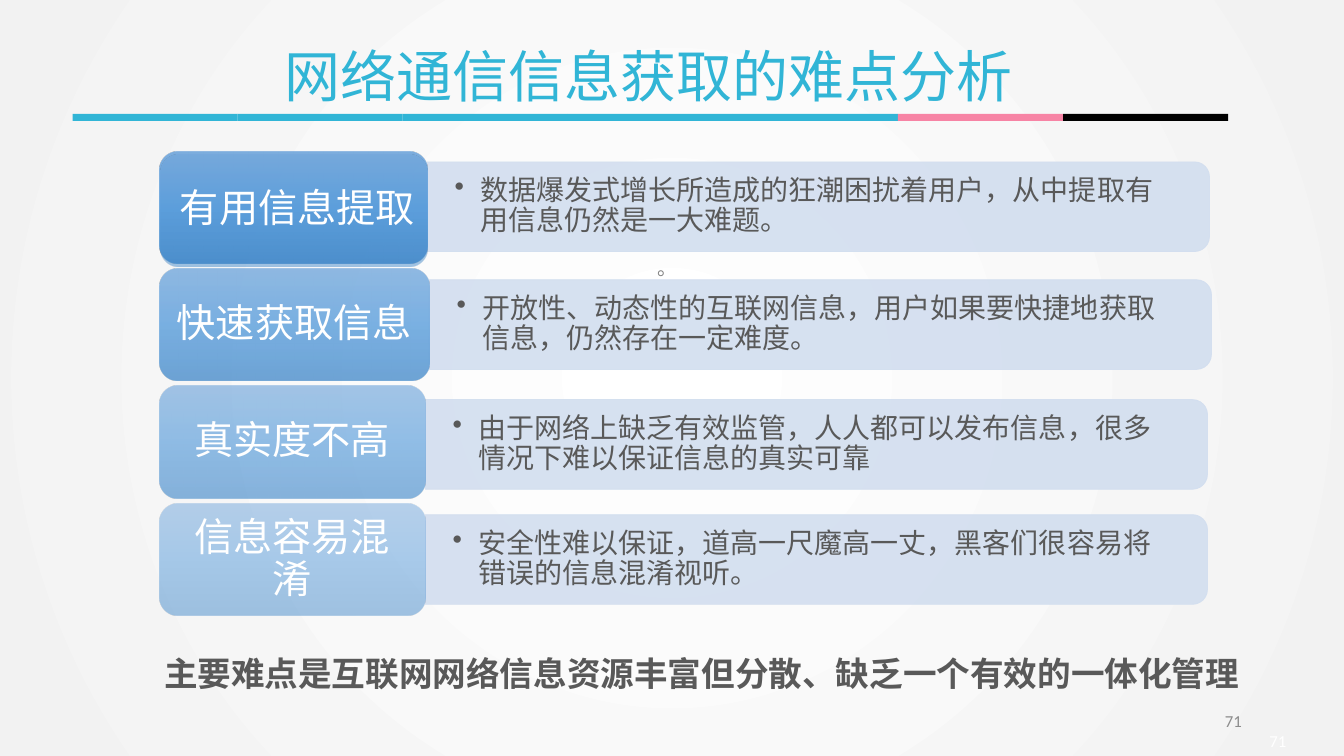
from lxml import etree
from pptx import Presentation
from pptx.dml.color import RGBColor
from pptx.enum import shapes, text
from pptx.oxml import parse_xml
from pptx.oxml.ns import nsdecls, qn
from pptx.util import Cm, Pt

INK = {"cyan": "31B5D6", "pink": "F784A5", "black": "000000", "white": "FFFFFF",
       "edge": "F2F2F2", "panel": "D2DEEF", "body": "595959", "dim": "7F7F7F",
       "page": "8C8C8C", "top": "71A6DB", "mid": "559BDB", "low": "448ACA"}
CJK = "Noto Sans CJK SC"
KIND = shapes.MSO_SHAPE
MID = text.MSO_ANCHOR.MIDDLE
ALIGN = text.PP_ALIGN

TITLE = "网络通信信息获取的难点分析"
CLOSE = "主要难点是互联网网络信息资源丰富但分散、缺乏一个有效的一体化管理"
PAGE = "71"
# label, detail, pill width, panel top, pill opacity
ROWS = [
    ("有用信息提取", "数据爆发式增长所造成的狂潮困扰着用户，从中提取有用信息仍然是一大难题。",
     6.76, 4.08, 90),
    ("快速获取信息", "开放性、动态性的互联网信息，用户如果要快捷地获取信息，仍然存在一定难度。",
     6.81, 7.05, 77),
    ("真实度不高", "由于网络上缺乏有效监管，人人都可以发布信息，很多情况下难以保证信息的真实可靠",
     6.71, 10.07, 63),
    ("信息容易混淆", "安全性难以保证，道高一尺魔高一丈，黑客们很容易将错误的信息混淆视听。",
     6.71, 12.97, 50),
]
BARS = ["cyan"] * 5 + ["pink", "black"]
PILL_X, PILL_Y, PILL_H, STEP = 4.01, 3.81, 2.82, 2.96
PANEL_W, PANEL_H = 19.71, 2.26
BAR_X, BAR_Y, BAR_W, BAR_H = 1.83, 2.87, 4.16, 0.18

deck = Presentation()
deck.slide_width, deck.slide_height = Cm(33.87), Cm(19.05)
slide = deck.slides.add_slide(deck.slide_layouts[6])


def blend(root, stops, shade):
    """Swap the empty fill under root for a gradient of (place, colour, opacity)."""
    marks = "".join(
        f'<a:gs pos="{at * 1000}"><a:srgbClr val="{INK[ink]}">'
        f'<a:alpha val="{op * 1000}"/></a:srgbClr></a:gs>' for at, ink, op in stops)
    old = root.find(".//" + qn("a:noFill"))
    old.getparent().replace(old, parse_xml(
        f'<a:gradFill {nsdecls("a")} rotWithShape="1"><a:gsLst>{marks}</a:gsLst>'
        f'{shade}</a:gradFill>'))


def block(kind, x, y, w, h):
    shape = slide.shapes.add_shape(kind, Cm(x), Cm(y), Cm(w), Cm(h))
    shape.shadow.inherit = False
    shape.line.fill.background()
    return shape


def paint(shape, ink):
    shape.fill.solid()
    shape.fill.fore_color.rgb = RGBColor.from_string(INK[ink])


def bar(x, ink):
    paint(block(KIND.RECTANGLE, x, BAR_Y, BAR_W, BAR_H), ink)


def pill(x, y, w, op):
    shape = block(KIND.ROUNDED_RECTANGLE, x, y, w, PILL_H)
    shape.fill.background()
    blend(shape.element, [(0, "top", op), (50, "mid", op), (100, "low", op)],
          '<a:lin ang="5400000" scaled="0"/>')


def panel(x, y):
    """Turn a top-rounded block so that its round corners face right."""
    shift = (PANEL_W - PANEL_H) / 2
    shape = block(KIND.ROUND_2_SAME_RECTANGLE, x + shift, y - shift, PANEL_H, PANEL_W)
    shape.rotation = 90
    paint(shape, "panel")
    shape.line.color.rgb = RGBColor.from_string(INK["panel"])
    shape.line.width = Pt(0.5)
    for tint in shape.element.spPr.iter(qn("a:srgbClr")):
        etree.SubElement(tint, qn("a:alpha"), val="90000")


def write(words, x, y, w, h, size, ink, face=CJK, pad=(0.25, 0.13), bold=False,
          bullet=False, frame=None, para=None):
    """Add a text box; frame and para hold format values for each level."""
    box = slide.shapes.add_textbox(Cm(x), Cm(y), Cm(w), Cm(h)).text_frame
    side, lid = map(Cm, pad)
    for key, val in {"word_wrap": True, "margin_left": side, "margin_right": side,
                     "margin_top": lid, "margin_bottom": lid, **(frame or {})}.items():
        setattr(box, key, val)
    line = box.paragraphs[0]
    for key, val in (para or {}).items():
        setattr(line, key, val)
    if bullet:
        props = line._p.get_or_add_pPr()
        props.set("marL", str(Cm(0.64)))
        props.set("indent", str(-Cm(0.64)))
        etree.SubElement(props, qn("a:buChar"), char="•")
    run = line.add_run()
    run.text = words
    for key, val in {"name": face, "size": Pt(size), "bold": bold}.items():
        setattr(run.font, key, val)
    run.font.color.rgb = RGBColor.from_string(INK[ink])
    etree.SubElement(run.font._element, qn("a:ea"), typeface=face)


def label(words, x, y, w, pad):
    write(words, x, y, w, 2.54, 28, "white", pad=pad, frame={"vertical_anchor": MID},
          para={"alignment": ALIGN.CENTER, "line_spacing": 0.9})


slide.background.fill.background()
blend(slide.element, [(0, "white", 100), (100, "edge", 100)],
      '<a:path path="circle"><a:fillToRect l="50000" t="50000" r="50000" b="50000"/></a:path>')

write("。", 16.31, 6.38, 13.03, 10.77, 14, "dim", para={"line_spacing": 0.9})

for i, (name, detail, wide, top, op) in enumerate(ROWS):
    y, right = PILL_Y + i * STEP, PILL_X + wide
    panel(right, top)
    write(detail, right, top + 0.11, PANEL_W - 0.1, 2.03, 20, "body", pad=(0.69, 0.36),
          bullet=True, frame={"vertical_anchor": MID}, para={"line_spacing": 0.9})
    pill(PILL_X, y, wide, op)
    if i:
        label(name, PILL_X + 0.14, y + 0.14, wide - 0.28, (0.28, 0.15))

write(CLOSE, 2.01, 16.33, 31.34, 1.27, 24, "body", bold=True,
      para={"alignment": ALIGN.CENTER})
for i, ink in enumerate(BARS):
    bar(BAR_X + i * BAR_W, ink)
write(TITLE, 6.93, 0.91, 19.02, 1.96, 40, "cyan", face="DejaVu Sans Mono",
      frame={"word_wrap": False})

# The first pill carries a second, lighter layer
pill(PILL_X + 0.05, PILL_Y + 0.08, 6.71, 50)
label(ROWS[0][0], 3.94, 4.01, 7.11, (0.38, 0.18))

for x, y, ink in [(23.93, 17.65, "page"), (25.05, 18.16, "white")]:
    write(PAGE, x, y, 7.62, 1.02, 12, ink, face="Calibri",
          frame={"vertical_anchor": MID}, para={"alignment": ALIGN.RIGHT})

deck.save("out.pptx")
